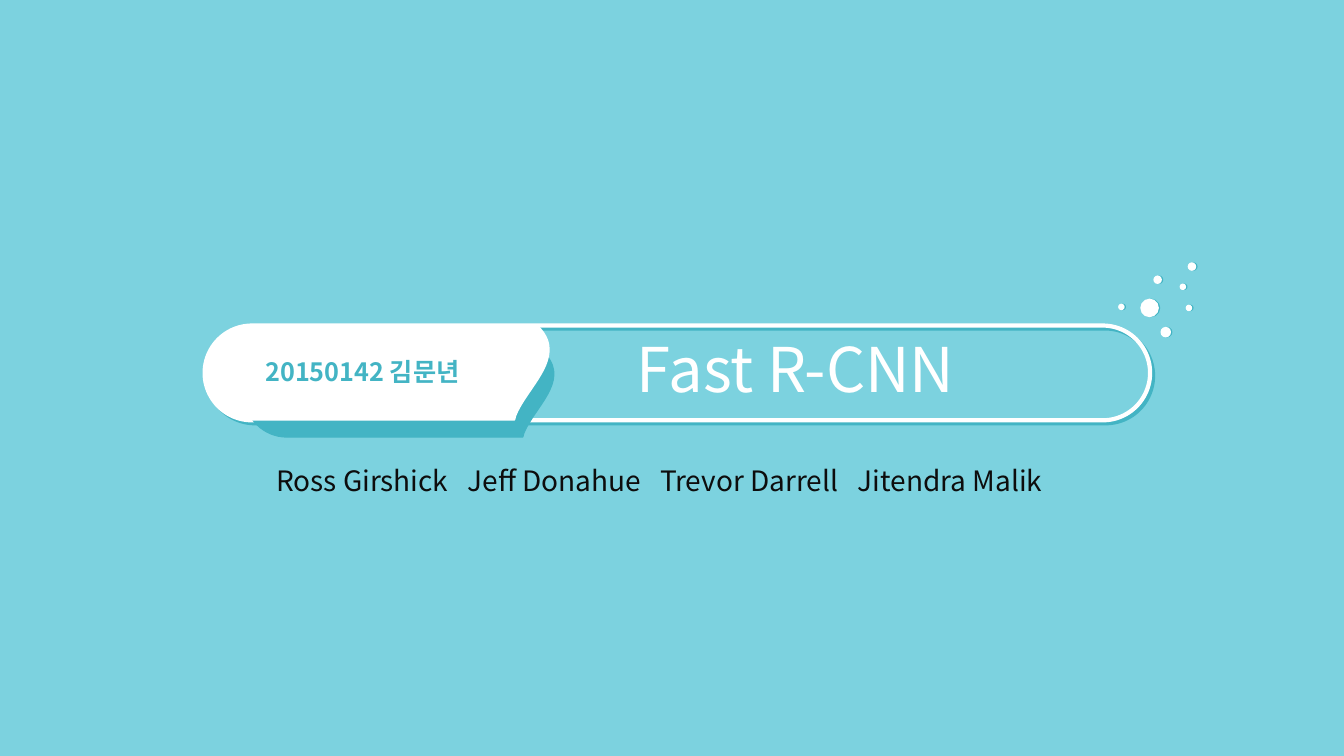
import lxml.etree
import pptx
import pptx.dml.color
import pptx.enum.shapes
import pptx.enum.text
import pptx.oxml.ns
import pptx.util

Inches = pptx.util.Inches
Pt = pptx.util.Pt
ALIGN = pptx.enum.text.PP_ALIGN
KIND = pptx.enum.shapes.MSO_SHAPE
FONT = "Noto Sans CJK KR"
COLORS = {"sky": "7CD2DF", "teal": "43B4C4", "white": "FFFFFF", "ink": "0D0D0D"}
DOTS = [
    (11.32, 2.97, 0.17), (11.79, 2.61, 0.07), (11.77, 3.03, 0.05),
    (11.71, 2.82, 0.05), (11.52, 3.25, 0.09), (11.1, 3.02, 0.05),
    (11.45, 2.74, 0.07),
]
EDGE = [
    [(5.33, 3.23)],
    [(5.36, 3.26)],
    [(5.61, 3.55), (5.22, 3.84), (5.11, 4.12)],
    [(5.1, 4.16)],
    [(2.5, 4.16)],
    [(2.24, 4.16), (2.03, 3.95), (2.03, 3.69)],
    [(2.03, 3.44), (2.24, 3.23), (2.5, 3.23)],
]
NAMES = ["Ross Girshick", "Jeff Donahue", "Trevor Darrell", "Jitendra Malik"]
STOPS = [1.9, 3.81, 5.77]


def tint(key):
    return pptx.dml.color.RGBColor.from_string(COLORS[key])


def node(parent, tag, **attrs):
    return lxml.etree.SubElement(parent, pptx.oxml.ns.qn(tag), attrs)


def paint(shape, fill, line, width):
    shape.shadow.inherit = False
    if fill:
        shape.fill.solid()
        shape.fill.fore_color.rgb = tint(fill)
    else:
        shape.fill.background()
    shape.line.color.rgb = tint(line)
    shape.line.width = Pt(width)


def shade(shape, dist, angle, **scale):
    effects = shape._element.spPr.find(pptx.oxml.ns.qn("a:effectLst"))
    outer = node(effects, "a:outerShdw", blurRad="0", dist=str(Pt(dist)),
                 dir=str(angle * 60000), algn="l", rotWithShape="0", **scale)
    node(outer, "a:srgbClr", val=COLORS["teal"])


def add_pill(shapes):
    pill = shapes.add_shape(KIND.ROUNDED_RECTANGLE, Inches(2.03), Inches(3.23),
                            Inches(9.38), Inches(0.94))
    pill.adjustments[0] = 0.5
    paint(pill, None, "white", 3)
    shade(pill, 3, 45)


def add_dot(shapes, left, top, size):
    dot = shapes.add_shape(KIND.OVAL, Inches(left), Inches(top),
                           Inches(size), Inches(size))
    paint(dot, "white", "white", 1)
    shade(dot, 1, 0)


def turn(point):
    return Inches(4.16 - point[1]), Inches(point[0] - 2.03)


def add_tab(shapes):
    wide, high = Inches(0.94), Inches(3.41)
    form = shapes.build_freeform(0, 0)
    form.add_line_segments([(wide, 0), (wide, high), (0, high)], close=True)
    tab = form.convert_to_shape(Inches(3.27), Inches(1.99))
    tab.rotation = 270
    outline = tab._element.spPr.find(".//" + pptx.oxml.ns.qn("a:path"))
    for child in list(outline):
        outline.remove(child)
    for points in [EDGE[-1][-1:]] + EDGE:
        first = len(outline) == 0
        tag = "a:moveTo" if first else "a:lnTo" if len(points) == 1 else "a:cubicBezTo"
        part = node(outline, tag)
        for point in points:
            x, y = turn(point)
            node(part, "a:pt", x=str(x), y=str(y))
    node(outline, "a:close")
    paint(tab, "white", "white", 1)
    shade(tab, 28, 0, sx="90000", sy="90000")


def add_text(shapes, box, text, size, color, align=ALIGN.LEFT, wrap=False, bold=False):
    frame = shapes.add_textbox(*[Inches(side) for side in box]).text_frame
    frame.word_wrap = wrap
    frame.auto_size = pptx.enum.text.MSO_AUTO_SIZE.SHAPE_TO_FIT_TEXT
    para = frame.paragraphs[0]
    para.alignment = align
    run = para.add_run()
    run.text = text
    run.font.name = FONT
    run.font.size = Pt(size)
    run.font.bold = bold
    run.font.color.rgb = tint(color)
    node(run._r.get_or_add_rPr(), "a:ea", typeface=FONT)
    return para


def set_stops(para, stops):
    tabs = node(para._p.get_or_add_pPr(), "a:tabLst")
    for stop in stops:
        node(tabs, "a:tab", pos=str(Inches(stop)), algn="l")


def main():
    deck = pptx.Presentation()
    deck.slide_width = Inches(40) // 3
    deck.slide_height = Inches(7.5)
    slide = deck.slides.add_slide(deck.slide_layouts[6])
    slide.background.fill.solid()
    slide.background.fill.fore_color.rgb = tint("sky")
    shapes = slide.shapes
    add_pill(shapes)
    for dot in DOTS:
        add_dot(shapes, *dot)
    add_text(shapes, (5.23, 3.23, 5.33, 0.84), "Fast R-CNN", 44, "white",
             ALIGN.CENTER, wrap=True)
    badge = shapes.add_group_shape().shapes
    add_tab(badge)
    add_text(badge, (2.49, 3.49, 2.21, 0.4), "20150142 김문년", 18, "teal",
             ALIGN.CENTER, bold=True)
    para = add_text(shapes, (2.64, 4.55, 7.91, 0.44), "\t".join(NAMES), 20, "ink")
    set_stops(para, STOPS)
    deck.save("out.pptx")


if __name__ == "__main__":
    main()
